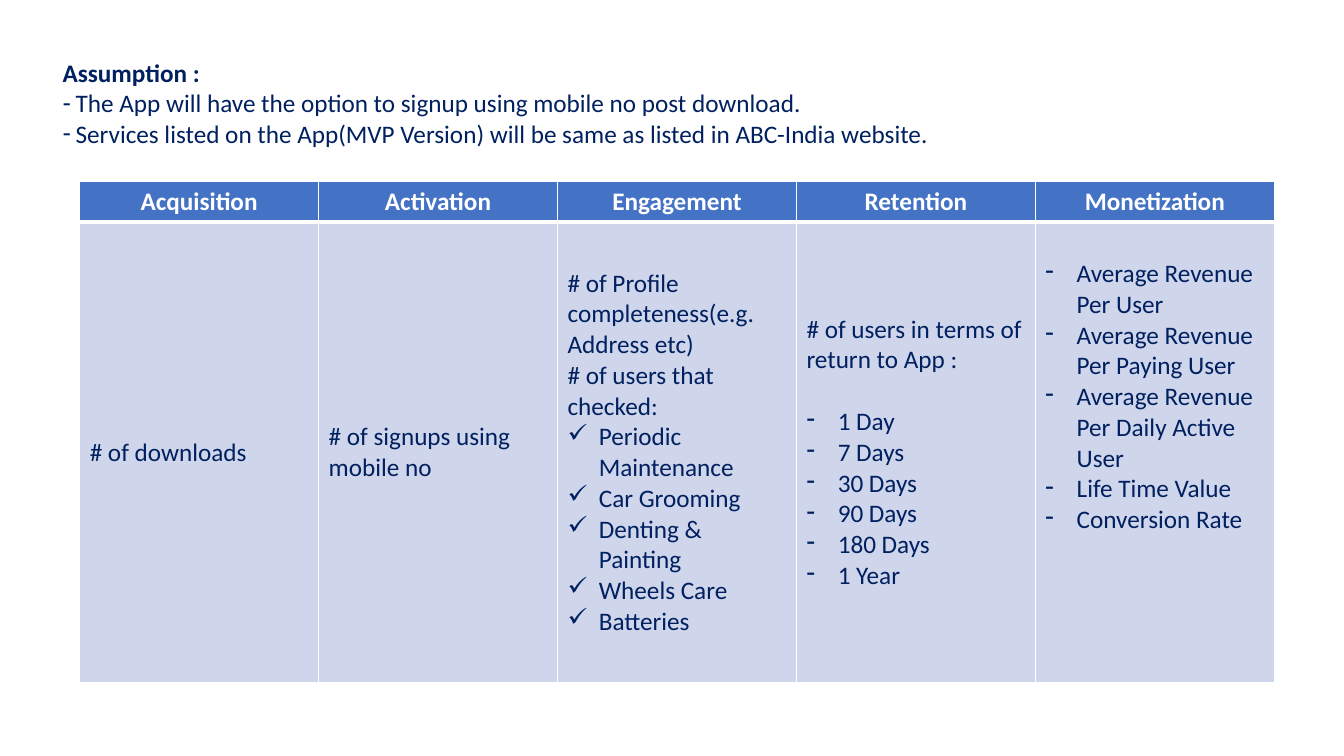
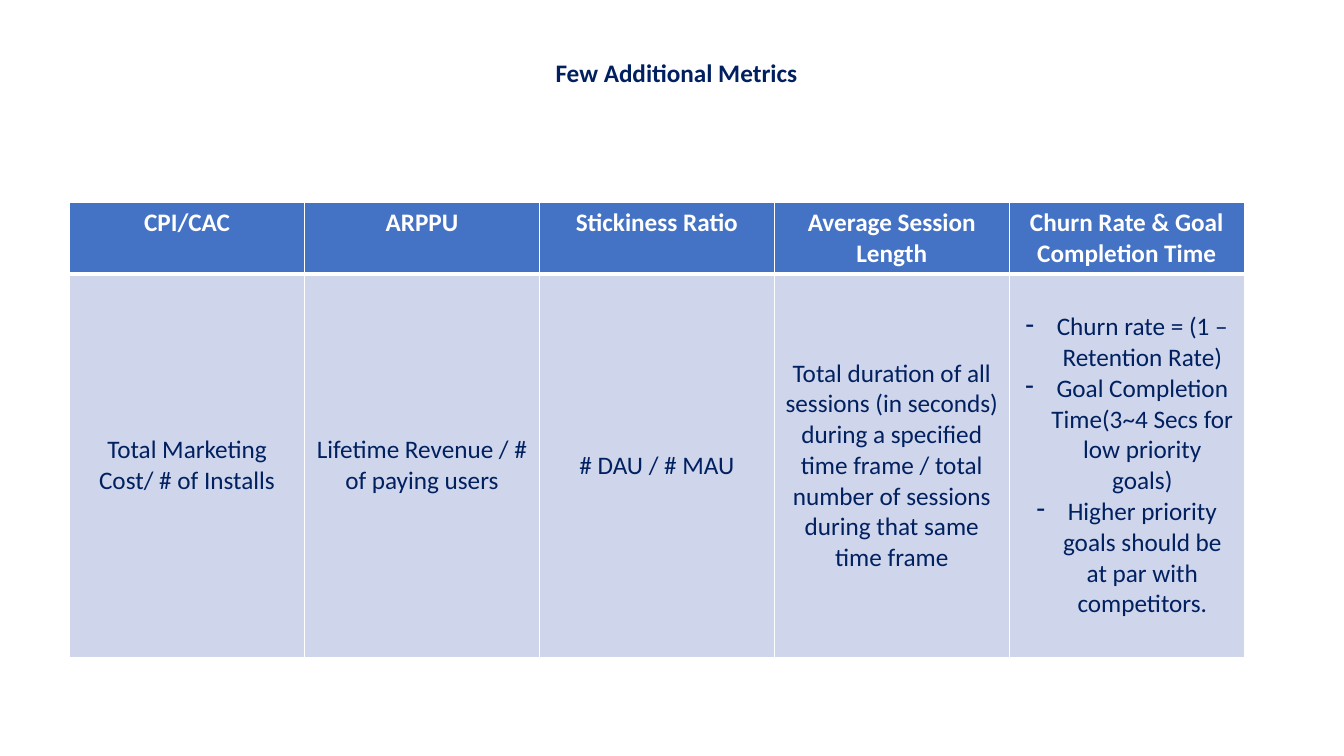
from dataclasses import dataclass

from lxml import etree
from pptx import Presentation
from pptx.dml.color import RGBColor
from pptx.enum import text
from pptx.oxml import ns
from pptx.util import Inches, Pt

# Shared style
NAVY = RGBColor(0x00, 0x20, 0x60)
BLUE = RGBColor(0x44, 0x72, 0xC4)
PALE = RGBColor(0xCF, 0xD5, 0xEA)
WHITE = RGBColor(0xFF, 0xFF, 0xFF)
FONT, SIZE = "Calibri", 18
LINE_GAP = 22  # one line of text, in points
LEFT, CENTER = text.PP_ALIGN.LEFT, text.PP_ALIGN.CENTER
TOP, MIDDLE = text.MSO_ANCHOR.TOP, text.MSO_ANCHOR.MIDDLE
TITLE_AND_BODY, TITLE_ONLY = 1, 5


@dataclass
class Para:
    text: str
    bullet: str = ""
    gap: int = 0


@dataclass
class Column:
    header: str
    paras: list
    anchor: text.MSO_ANCHOR = MIDDLE
    margin_top: float = 0.05


def bullets(char, *lines):
    return [Para(line, char) for line in lines]


def set_bullet(p, char, indent):
    """Give the paragraph a hanging bullet, or none if char is empty."""
    pPr = p._p.get_or_add_pPr()
    width = Inches(indent) if char else 0
    pPr.set("marL", str(width))
    pPr.set("indent", str(-width))
    if char:
        etree.SubElement(pPr, ns.qn("a:buChar")).set("char", char)
    else:
        etree.SubElement(pPr, ns.qn("a:buNone"))


def write(tf, paras, color=NAVY, bold=False, align=LEFT, indent=0.31):
    for i, para in enumerate(paras):
        p = tf.paragraphs[0] if i == 0 else tf.add_paragraph()
        p.alignment = align
        p.line_spacing = 1.0
        p.space_before, p.space_after = Pt(para.gap), Pt(0)
        set_bullet(p, para.bullet, indent)
        r = p.add_run()
        r.text = para.text
        r.font.name, r.font.size = FONT, Pt(SIZE)
        r.font.bold, r.font.color.rgb = bold, color


def fill_placeholder(sp, top, height, paras, **fmt):
    sp.left, sp.top = Inches(0.52), Inches(top)
    sp.width, sp.height = Inches(12.38), Inches(height)
    tf = sp.text_frame
    tf.word_wrap = True
    tf.auto_size = text.MSO_AUTO_SIZE.NONE
    tf.vertical_anchor = TOP
    write(tf, paras, **fmt)


def add_slide(prs, layout, title, align=LEFT):
    s = prs.slides.add_slide(prs.slide_layouts[layout])
    fill_placeholder(s.shapes.title, 0.52, 0.4, [Para(title)], bold=True, align=align)
    return s


def style_cell(cell, fill, top_line, bottom_line):
    """Draw white borders, then fill the cell."""
    tcPr = cell._tc.get_or_add_tcPr()
    for side, width in (("L", 1), ("R", 1), ("T", top_line), ("B", bottom_line)):
        ln = etree.SubElement(tcPr, ns.qn("a:ln" + side), w=str(Pt(width)))
        solid = etree.SubElement(ln, ns.qn("a:solidFill"))
        etree.SubElement(solid, ns.qn("a:srgbClr"), val=str(WHITE))
    cell.fill.solid()
    cell.fill.fore_color.rgb = fill


def add_metrics_table(s, left, top, col_width, row_heights, columns, align=LEFT):
    width = col_width * len(columns)
    frame = s.shapes.add_table(2, len(columns), Inches(left), Inches(top),
                               Inches(width), Inches(sum(row_heights)))
    table = frame.table
    for row, height in zip(table.rows, row_heights):
        row.height = Inches(height)
    for i, column in enumerate(columns):
        table.columns[i].width = Inches(col_width)
        head, body = table.cell(0, i), table.cell(1, i)
        style_cell(head, BLUE, 1, 3)
        write(head.text_frame, [Para(column.header)], color=WHITE, bold=True, align=CENTER)
        style_cell(body, PALE, 3, 1)
        body.vertical_anchor = column.anchor
        body.margin_top = Inches(column.margin_top)
        write(body.text_frame, column.paras, align=align)


def build_funnel_slide(prs):
    s = add_slide(prs, TITLE_AND_BODY, "Assumption :")
    assumptions = bullets(
        "-",
        "The App will have the option to signup using mobile no post download.",
        "Services listed on the App(MVP Version) will be same as listed in ABC-India website.")
    fill_placeholder(s.placeholders[1], 0.82, 0.71, assumptions, indent=0.13)

    engagement = [Para("# of Profile completeness(e.g. Address etc)"),
                  Para("# of users that checked:")]
    engagement += bullets("✓", "Periodic Maintenance", "Car Grooming",
                          "Denting & Painting", "Wheels Care", "Batteries")
    retention = [Para("# of users in terms of return to App :"),
                 Para("1 Day", "-", gap=LINE_GAP)]
    retention += bullets("-", "7 Days", "30 Days", "90 Days", "180 Days", "1 Year")
    monetization = bullets("-", "Average Revenue Per User",
                           "Average Revenue Per Paying User",
                           "Average Revenue Per Daily Active User",
                           "Life Time Value", "Conversion Rate")
    add_metrics_table(s, 0.79, 1.8, 2.37, (0.4, 4.57), [
        Column("Acquisition", [Para("# of downloads")]),
        Column("Activation", [Para("# of signups using mobile no")]),
        Column("Engagement", engagement),
        Column("Retention", retention),
        Column("Monetization", monetization, anchor=TOP, margin_top=0.36),
    ])


def build_additional_slide(prs):
    s = add_slide(prs, TITLE_ONLY, "Few Additional Metrics", align=CENTER)
    churn = bullets("-", "Churn rate = (1 – Retention Rate)",
                    "Goal Completion Time(3~4 Secs for low priority goals)",
                    "Higher priority goals should be at par with competitors.")
    add_metrics_table(s, 0.69, 2.01, 2.33, (0.7, 3.8), [
        Column("CPI/CAC", [Para("Total Marketing Cost/ # of Installs")]),
        Column("ARPPU", [Para("Lifetime Revenue / # of paying users")]),
        Column("Stickiness Ratio", [Para("# DAU / # MAU")]),
        Column("Average Session Length", [Para(
            "Total duration of all sessions (in seconds) during a specified time frame"
            " / total number of sessions during that same time frame")]),
        Column("Churn Rate & Goal Completion Time", churn),
    ], align=CENTER)


def main():
    prs = Presentation()
    prs.slide_width, prs.slide_height = Inches(13.33), Inches(7.5)
    build_funnel_slide(prs)
    build_additional_slide(prs)
    prs.save("out.pptx")


if __name__ == "__main__":
    main()
